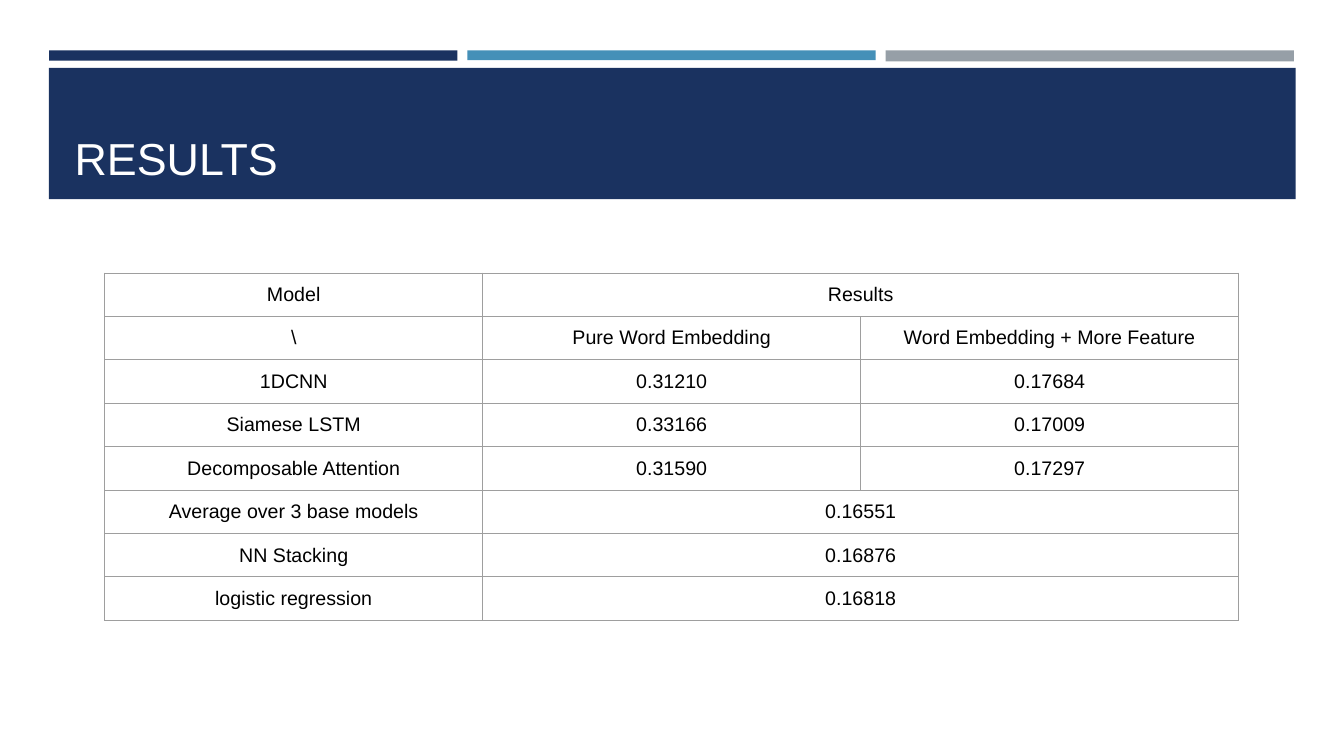
from dataclasses import dataclass

import pptx
import pptx.dml.color
import pptx.enum.shapes
import pptx.enum.text
import pptx.oxml
import pptx.oxml.ns
import pptx.util
from pptx.util import Cm


@dataclass(frozen=True)
class Theme:
    navy: str = "1A3260"
    blue: str = "4590B8"
    gray: str = "969FA7"
    white: str = "FFFFFF"
    black: str = "000000"
    border: str = "9E9E9E"
    font: str = "Arial"
    title_size: int = 32
    table_size: int = 14
    border_width: float = 0.75


@dataclass(frozen=True)
class Bar:
    left: float
    top: float
    width: float
    height: float
    color: str


THEME = Theme()

BAR_LEFT, BAR_WIDTH, BAR_PITCH = 1.24, 10.29, 10.54
STRIPES = [(THEME.navy, 0.26), (THEME.blue, 0.25), (THEME.gray, 0.28)]
BARS = [
    Bar(BAR_LEFT + i * BAR_PITCH, 1.27, BAR_WIDTH, height, color)
    for i, (color, height) in enumerate(STRIPES)
] + [Bar(1.23, 1.71, 31.42, 3.31, THEME.navy)]

# A row with two entries spans its second entry over both result columns
RESULTS = [
    ("Model", "Results"),
    ("\\", "Pure Word Embedding", "Word Embedding + More Feature"),
    ("1DCNN", "0.31210", "0.17684"),
    ("Siamese LSTM", "0.33166", "0.17009"),
    ("Decomposable Attention", "0.31590", "0.17297"),
    ("Average over 3 base models", "0.16551"),
    ("NN Stacking", "0.16876"),
    ("logistic regression", "0.16818"),
]
COLUMNS = 3
COLUMN_WIDTH, ROW_HEIGHT, CELL_MARGIN = 9.525, 1.06, 0.25


def rgb(color: str) -> pptx.dml.color.RGBColor:
    return pptx.dml.color.RGBColor.from_string(color)


def format_runs(tf, size: int, color: str) -> None:
    for p in tf.paragraphs:
        for r in p.runs:
            r.font.name = THEME.font
            r.font.size = pptx.util.Pt(size)
            r.font.color.rgb = rgb(color)


def add_bar(slide, bar: Bar) -> None:
    sp = slide.shapes.add_shape(
        pptx.enum.shapes.MSO_SHAPE.RECTANGLE,
        Cm(bar.left), Cm(bar.top), Cm(bar.width), Cm(bar.height),
    )
    sp.shadow.inherit = False
    sp.fill.solid()
    sp.fill.fore_color.rgb = rgb(bar.color)
    sp.line.fill.background()


def add_title(slide, text: str) -> None:
    sp = slide.shapes.add_textbox(Cm(1.63), Cm(1.96), Cm(30.63), Cm(2.82))
    tf = sp.text_frame
    tf.word_wrap = True
    tf.vertical_anchor = pptx.enum.text.MSO_ANCHOR.BOTTOM
    tf.text = text
    format_runs(tf, THEME.title_size, THEME.white)


def set_borders(cell) -> None:
    tc_pr = cell._tc.get_or_add_tcPr()
    width = int(pptx.util.Pt(THEME.border_width))
    for side in ("lnL", "lnR", "lnT", "lnB"):
        tc_pr.append(pptx.oxml.parse_xml(
            f'<a:{side} {pptx.oxml.ns.nsdecls("a")} w="{width}"><a:solidFill>'
            f'<a:srgbClr val="{THEME.border}"/></a:solidFill></a:{side}>'
        ))


def style_cell(cell) -> None:
    set_borders(cell)
    cell.fill.background()
    cell.vertical_anchor = pptx.enum.text.MSO_ANCHOR.MIDDLE
    cell.margin_left = cell.margin_right = Cm(CELL_MARGIN)
    cell.margin_top = cell.margin_bottom = Cm(CELL_MARGIN)
    cell.text_frame.paragraphs[0].alignment = pptx.enum.text.PP_ALIGN.CENTER
    format_runs(cell.text_frame, THEME.table_size, THEME.black)


def add_results_table(slide) -> None:
    table = slide.shapes.add_table(
        len(RESULTS), COLUMNS, Cm(2.64), Cm(6.88),
        Cm(COLUMNS * COLUMN_WIDTH), Cm(len(RESULTS) * ROW_HEIGHT),
    ).table
    table.first_row = False
    table.horz_banding = False
    for row, texts in enumerate(RESULTS):
        for col, text in enumerate(texts):
            table.cell(row, col).text_frame.text = text
        if len(texts) < COLUMNS:
            table.cell(row, 1).merge(table.cell(row, COLUMNS - 1))
    for cell in table.iter_cells():
        style_cell(cell)


def main() -> None:
    prs = pptx.Presentation()
    prs.slide_width, prs.slide_height = Cm(33.87), Cm(19.05)
    slide = prs.slides.add_slide(prs.slide_layouts[6])

    # Header stripes and title band
    for bar in BARS:
        add_bar(slide, bar)
    add_title(slide, "RESULTS")

    # Model scores
    add_results_table(slide)

    prs.save("out.pptx")


if __name__ == "__main__":
    main()
